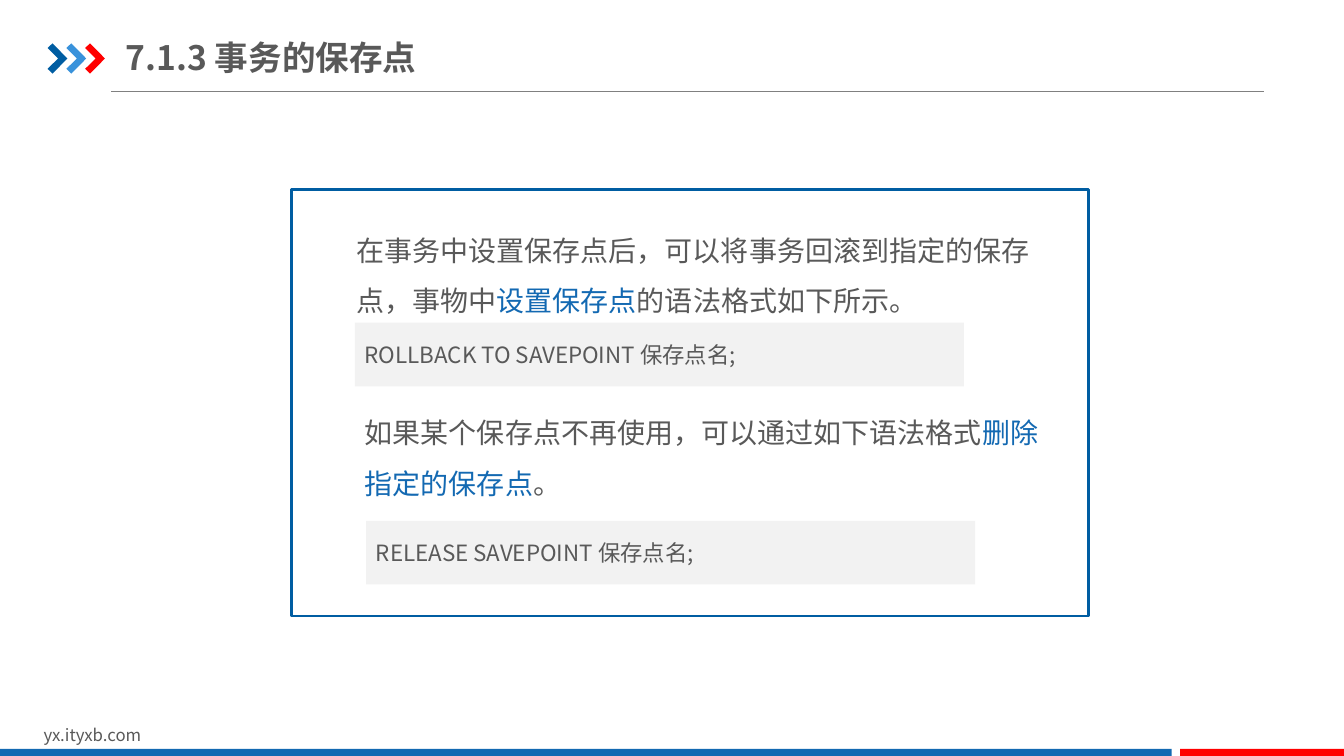
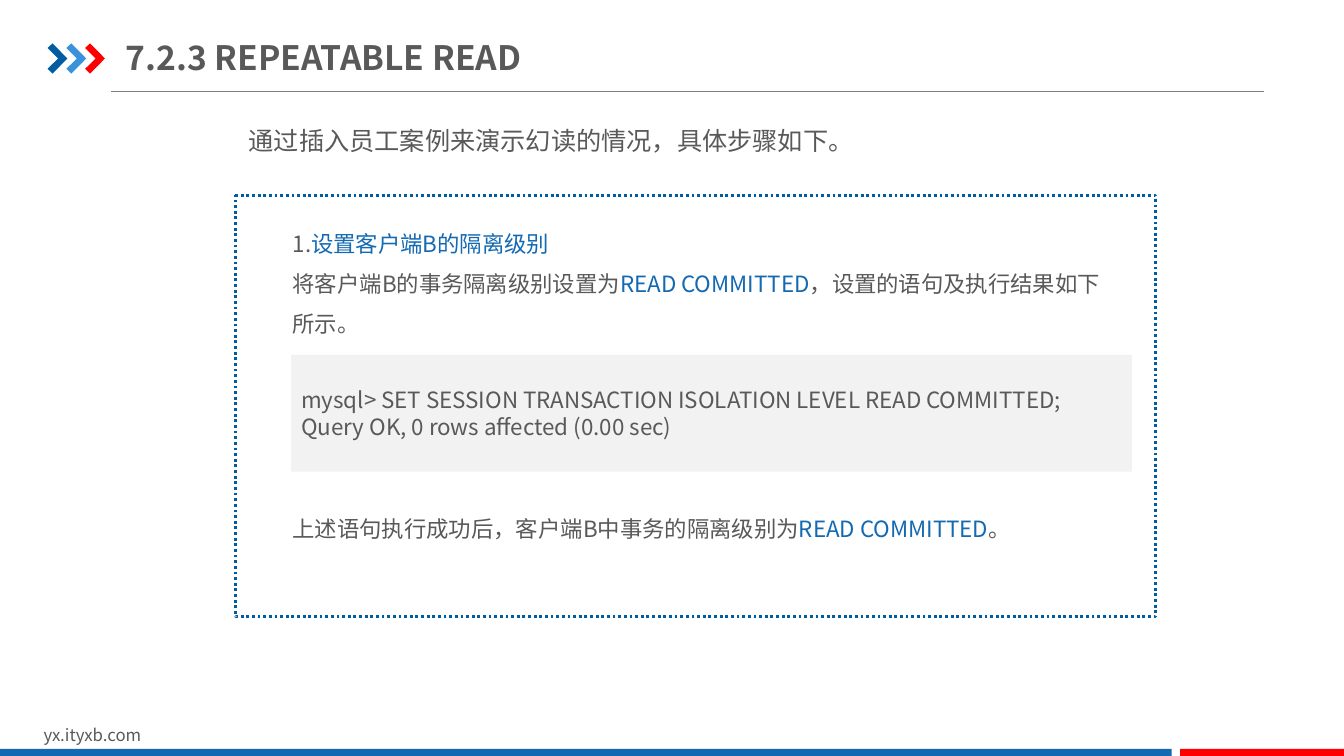
from lxml import etree
from pptx import Presentation
from pptx import util as u
from pptx.dml.color import RGBColor
from pptx.enum import dml, shapes, text
from pptx.oxml.ns import qn

Pt = u.Pt
FONT = "Noto Sans CJK SC"
COLORS = {
    "navy": "005DA2", "sky": "3992DB", "red": "FF0000", "blue": "1369B2",
    "ink": "595959", "rule": "808080", "code": "F2F2F2", "white": "FFFFFF",
}


def write(frame, paragraphs, size, spacing=1.0, bold=False):
    frame.word_wrap = True
    for index, pieces in enumerate(paragraphs):
        paragraph = frame.add_paragraph() if index else frame.paragraphs[0]
        paragraph.alignment = text.PP_ALIGN.LEFT
        paragraph.line_spacing = spacing
        font = paragraph.font
        font.size, font.bold, font.name = Pt(size), bold, FONT
        font.color.rgb = RGBColor.from_string(COLORS["ink"])
        defaults = paragraph._p.pPr.find(qn("a:defRPr"))
        etree.SubElement(defaults, qn("a:ea")).set("typeface", FONT)
        for position, piece in enumerate(pieces):
            run = paragraph.add_run()
            run.text = piece
            color = COLORS["blue" if position % 2 else "ink"]
            run.font.color.rgb = RGBColor.from_string(color)


def paint(shape, fill, line=None):
    shape.shadow.inherit = False
    shape.fill.solid()
    shape.fill.fore_color.rgb = RGBColor.from_string(COLORS[fill])
    if line:
        shape.line.color.rgb = RGBColor.from_string(COLORS[line])
        shape.line.width = Pt(2)
    else:
        shape.line.fill.background()


lessons = [
    {
        "title": "7.1.3 事务的保存点",
        "frame": (208, 135.5, 569.5, 304.5),
        "dash": None,
        "prose": [
            ((247.5, 151, 502, 80), 20, [
                ("在事务中设置保存点后，可以将事务回滚到指定的保存点，事物中",
                 "设置保存点", "的语法格式如下所示。")]),
            ((253.5, 281.5, 502, 80), 20, [
                ("如果某个保存点不再使用，可以通过如下语法格式",
                 "删除指定的保存点", "。")]),
        ],
        "code": [
            ((253.5, 230.5, 435, 45.5), [("ROLLBACK TO SAVEPOINT 保存点名;",)]),
            ((261.5, 372, 435, 45.5), [("RELEASE SAVEPOINT 保存点名;",)]),
        ],
    },
    {
        "title": "7.2.3 REPEATABLE READ",
        "frame": (168, 139.5, 657.5, 301),
        "dash": dml.MSO_LINE.ROUND_DOT,
        "prose": [
            ((170.5, 75, 470, 40), 18,
             [("通过插入员工案例来演示幻读的情况，具体步骤如下。",)]),
            ((202, 151, 606, 94), 16, [
                ("1.", "设置客户端B的隔离级别"),
                ("将客户端B的事务隔离级别设置为", "READ COMMITTED",
                 "，设置的语句及执行结果如下所示。")]),
            ((202, 355, 606, 36), 16, [
                ("上述语句执行成功后，客户端B中事务的隔离级别为",
                 "READ COMMITTED", "。")]),
        ],
        "code": [
            ((208, 253.5, 600.5, 83.5), [
                ("mysql> SET SESSION TRANSACTION ISOLATION LEVEL READ COMMITTED;",),
                ("Query OK, 0 rows affected (0.00 sec)",)]),
        ],
    },
]

deck = Presentation()
deck.slide_width, deck.slide_height = Pt(960), Pt(540)
layout = deck.slide_layouts[5]
heading = layout.placeholders[0]
heading.left, heading.top = Pt(90), Pt(21)
heading.width, heading.height = Pt(480), Pt(39.5)

slides = [deck.slides.add_slide(layout) for lesson in lessons]
canvas = slides[0].shapes
shared = []

rule = canvas.add_connector(
    shapes.MSO_CONNECTOR.STRAIGHT, Pt(79.5), Pt(65.5), Pt(903), Pt(65.5))
rule.line.color.rgb = RGBColor.from_string(COLORS["rule"])
rule.line.width = Pt(0.75)
etree.SubElement(rule.element.spPr, qn("a:effectLst"))
shared.append(rule)

outline = [(0, 3.3), (3.5, 0), (14.2, 10.8), (3.5, 21.6), (0, 18.2), (7.5, 10.8)]
for index, color in enumerate(("navy", "sky", "red")):
    corners = [(Pt(34 + 13.4 * index + x), Pt(31 + y)) for x, y in outline]
    builder = canvas.build_freeform(*corners[0])
    builder.add_line_segments(corners[1:], close=True)
    chevron = builder.convert_to_shape()
    paint(chevron, color)
    shared.append(chevron)

site = canvas.add_textbox(Pt(24), Pt(514), Pt(229), Pt(22))
write(site.text_frame, [("yx.ityxb.com",)], 12)
shared.append(site)

for left, width, color in ((0, 837, "blue"), (843, 117, "red")):
    band = canvas.add_shape(
        shapes.MSO_SHAPE.RECTANGLE, Pt(left), Pt(535), Pt(width), Pt(6))
    paint(band, color)
    shared.append(band)

for part in shared:
    layout.element.cSld.spTree.append(part.element)

for slide, lesson in zip(slides, lessons):
    title = slide.shapes.title.text_frame
    title.auto_size = text.MSO_AUTO_SIZE.NONE
    title.vertical_anchor = text.MSO_ANCHOR.MIDDLE
    title.margin_left = title.margin_right = 0
    write(title, [(lesson["title"],)], 24, bold=True)

    frame = slide.shapes.add_shape(
        shapes.MSO_SHAPE.FLOWCHART_PROCESS, *map(Pt, lesson["frame"]))
    paint(frame, "white", "navy")
    if lesson["dash"]:
        frame.line.dash_style = lesson["dash"]

    for place, size, paragraphs in lesson["prose"]:
        prose = slide.shapes.add_textbox(*map(Pt, place))
        write(prose.text_frame, paragraphs, size, spacing=1.5)

    for place, paragraphs in lesson["code"]:
        code = slide.shapes.add_shape(
            shapes.MSO_SHAPE.RECTANGLE, *map(Pt, place))
        paint(code, "code")
        code.text_frame.vertical_anchor = text.MSO_ANCHOR.MIDDLE
        write(code.text_frame, paragraphs, 16)

deck.save("out.pptx")
